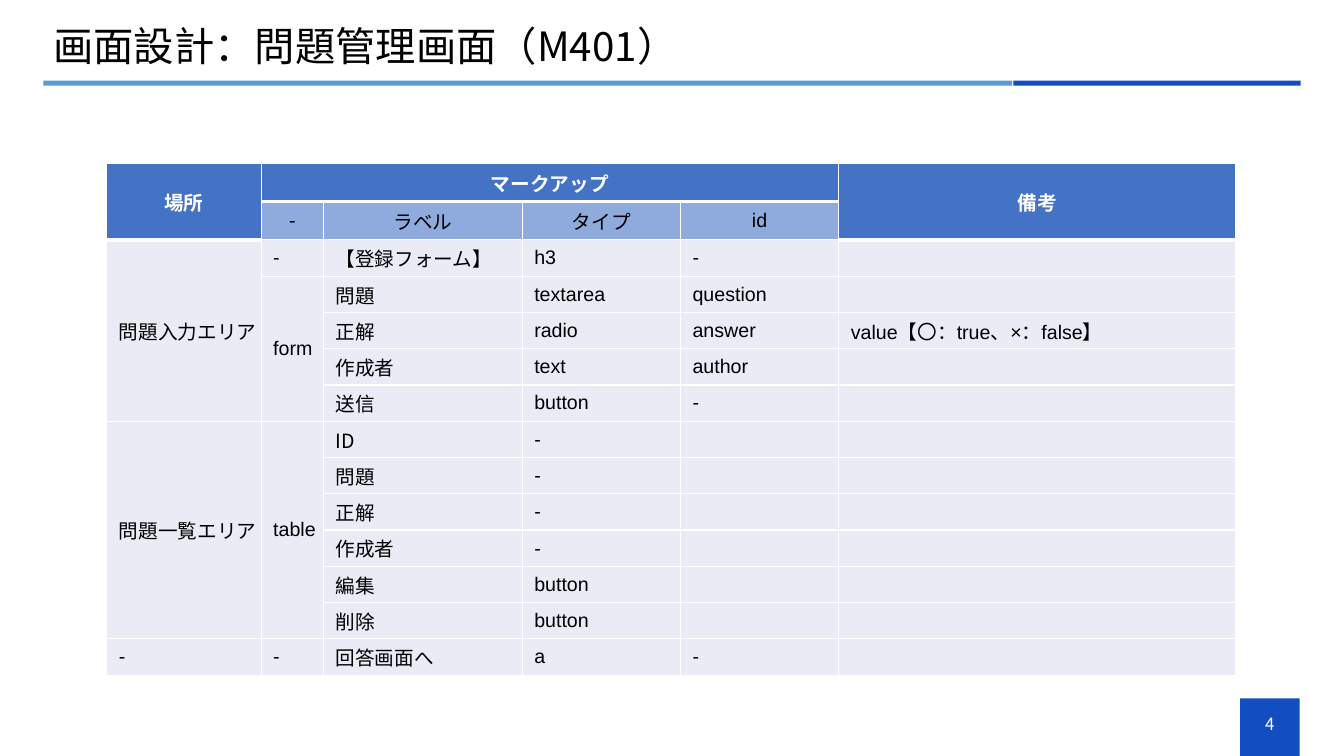
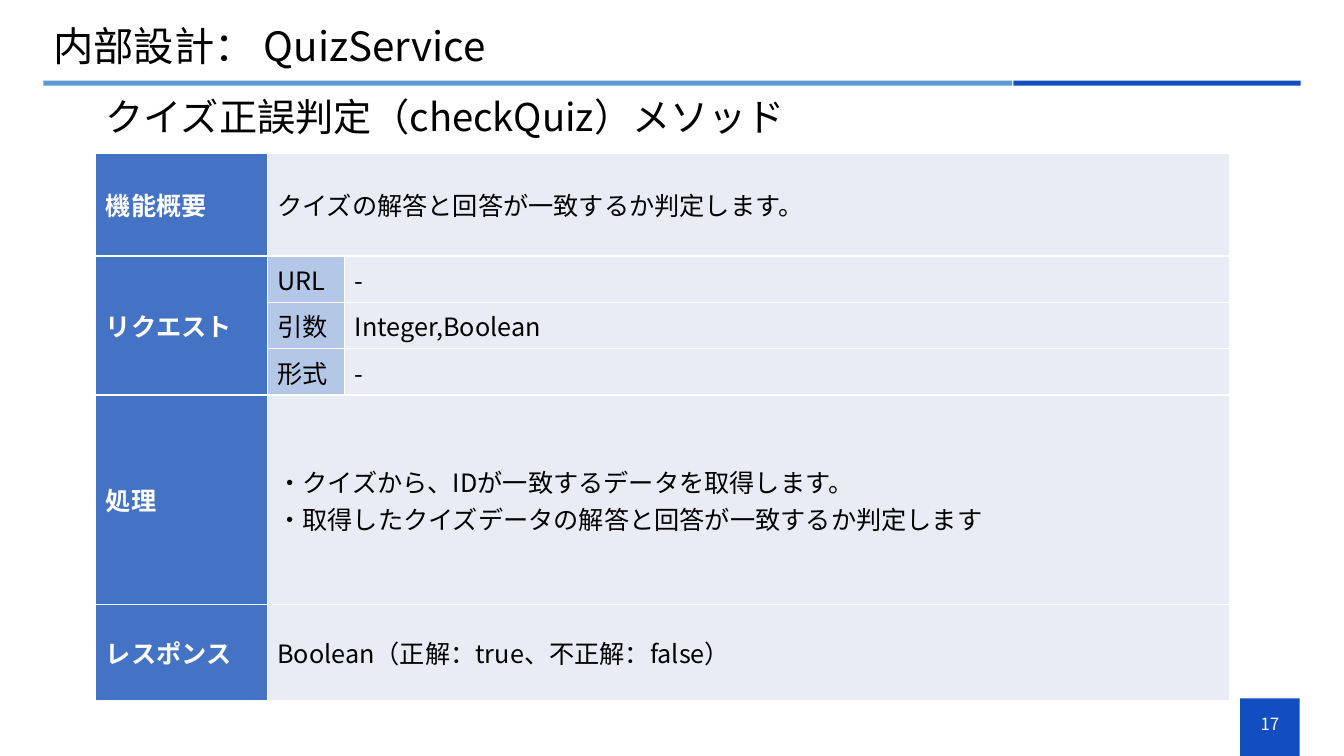
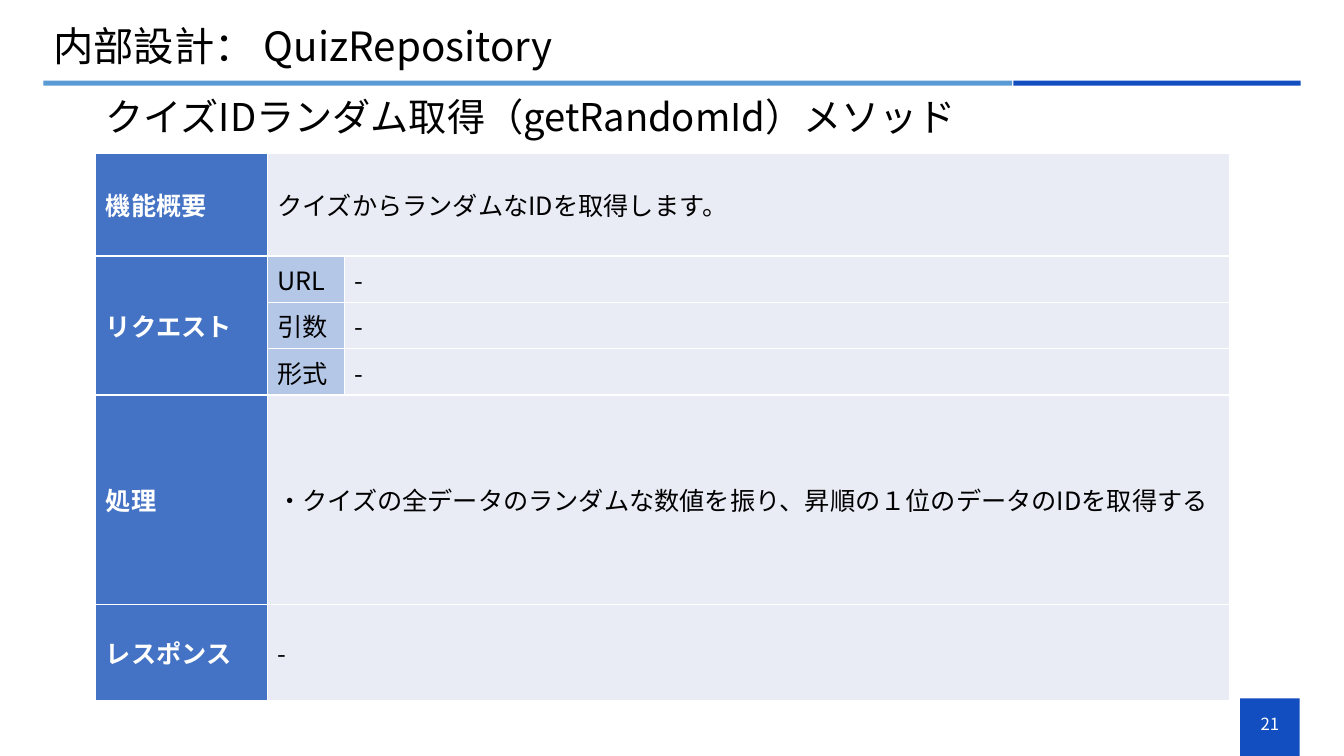
from lxml import etree
from pptx import Presentation
from pptx.dml.color import RGBColor
from pptx.enum.shapes import MSO_SHAPE
from pptx.enum.text import MSO_ANCHOR, PP_ALIGN
from pptx.oxml.ns import qn
from pptx.util import Inches, Pt

RECT = MSO_SHAPE.RECTANGLE
MIDDLE = MSO_ANCHOR.MIDDLE
LEFT, CENTER = PP_ALIGN.LEFT, PP_ALIGN.CENTER

COLORS = {
    "white": "FFFFFF", "black": "000000", "navy": "134EC1", "sky": "5B9BD5",
    "head": "4472C4", "subhead": "8FAADC", "label": "B4C7E7", "body": "E9EBF5",
}
JP, LATIN = "Noto Sans CJK JP", "Arial"

# Parts on every slide: left, top, width, height, colour
BANDS = [
    (12.3, 6.93, 0.59, 0.57, "navy"),
    (0.43, 0.8, 9.61, 0.05, "sky"),
    (10.05, 0.8, 2.85, 0.05, "navy"),
]
TITLE_BOX = (0.43, 0.21, 12.46, 0.55)
NUMBER_BOX = (12.3, 6.98, 0.59, 0.4)
SUBTITLE_BOX = (0.95, 0.91, 11.95, 0.55)

# Screen design table: rows, then merges as (row, column, last row, last column)
SCREEN = {
    "number": "4",
    "title": "画面設計：問題管理画面（M401）",
    "rows": [
        ["場所", "マークアップ", "", "", "", "備考"],
        ["", "-", "ラベル", "タイプ", "id", ""],
        ["問題入力エリア", "-", "【登録フォーム】", "h3", "-", ""],
        ["", "form", "問題", "textarea", "question", ""],
        ["", "", "正解", "radio", "answer", "value【〇：true、×：false】"],
        ["", "", "作成者", "text", "author", ""],
        ["", "", "送信", "button", "-", ""],
        ["問題一覧エリア", "table", "ID", "-", "", ""],
        ["", "", "問題", "-", "", ""],
        ["", "", "正解", "-", "", ""],
        ["", "", "作成者", "-", "", ""],
        ["", "", "編集", "button", "", ""],
        ["", "", "削除", "button", "", ""],
        ["-", "-", "回答画面へ", "a", "-", ""],
    ],
    "merges": [(0, 0, 1, 0), (0, 1, 0, 4), (0, 5, 1, 5), (2, 0, 6, 0),
               (3, 1, 6, 1), (7, 0, 12, 0), (7, 1, 12, 1)],
}
SCREEN_COLS = [1.53, 0.62, 1.97, 1.57, 1.57, 3.94]
SCREEN_HEIGHTS = [0.38] * 2 + [0.36] * 12

# Method tables
METHODS = [
    {
        "number": "17",
        "title": "内部設計： QuizService",
        "subtitle": "クイズ正誤判定（checkQuiz）メソッド",
        "summary": "クイズの解答と回答が一致するか判定します。",
        "request": ["-", "Integer,Boolean", "-"],
        "process": "・クイズから、IDが一致するデータを取得します。\n"
                   "・取得したクイズデータの解答と回答が一致するか判定します",
        "response": "Boolean（正解：true、不正解：false）",
    },
    {
        "number": "21",
        "title": "内部設計： QuizRepository",
        "subtitle": "クイズIDランダム取得（getRandomId）メソッド",
        "summary": "クイズからランダムなIDを取得します。",
        "request": ["-", "-", "-"],
        "process": "・クイズの全データのランダムな数値を振り、"
                   "昇順の１位のデータのIDを取得する",
        "response": "-",
    },
]
REQUEST_LABELS = ["URL", "引数", "形式"]
METHOD_COLS = [1.7, 0.77, 8.78]
METHOD_HEIGHTS = [1.02, 0.46, 0.46, 0.46, 2.08, 0.95]
METHOD_MERGES = [(0, 1, 0, 2), (1, 0, 3, 0), (4, 1, 4, 2), (5, 1, 5, 2)]


def rgb(name):
    return RGBColor.from_string(COLORS[name])


def write(tf, text, size, color="black", bold=False, font=JP, align=LEFT, spacing=None):
    tf.text = text
    for p in tf.paragraphs:
        p.alignment = align
        p.line_spacing = spacing
        for r in p.runs:
            formats = {"size": Pt(size), "bold": bold, "name": font}
            for key, value in formats.items():
                setattr(r.font, key, value)
            r.font.color.rgb = rgb(color)
            etree.SubElement(r._r.get_or_add_rPr(), qn("a:ea"), typeface=JP)
        if not p.runs:  # keeps an empty cell as low as its row
            etree.SubElement(p._p, qn("a:endParaRPr"), sz=str(size * 100))


def add_text(s, box, text, size, **formats):
    tf = s.shapes.add_textbox(*map(Inches, box)).text_frame
    tf.word_wrap = True
    tf.vertical_anchor = MIDDLE
    write(tf, text, size, **formats)


def add_page(prs, page):
    s = prs.slides.add_slide(prs.slide_layouts[6])
    for *box, color in BANDS:
        sp = s.shapes.add_shape(RECT, *map(Inches, box))
        sp.shadow.inherit = False
        sp.fill.solid()
        sp.fill.fore_color.rgb = rgb(color)
        sp.line.fill.background()
    add_text(s, TITLE_BOX, page["title"], 28.8, spacing=0.9)
    add_text(s, NUMBER_BOX, page["number"], 12, color="white", align=CENTER)
    return s


def set_borders(cell, bottom):
    tcPr = cell._tc.get_or_add_tcPr()
    for side, width in (("L", 1), ("R", 1), ("T", 1), ("B", bottom)):
        ln = etree.SubElement(tcPr, qn("a:ln" + side), w=str(Pt(width)))
        fill = etree.SubElement(ln, qn("a:solidFill"))
        etree.SubElement(fill, qn("a:srgbClr"), val=COLORS["white"])


def add_grid(s, left, top, cols, heights, rows, merges, style):
    """style(row, column) gives fill, bottom border, margins and text formats."""
    frame = s.shapes.add_table(len(rows), len(cols), Inches(left), Inches(top),
                               Inches(sum(cols)), Inches(sum(heights)))
    table = frame.table
    table.first_row = table.horz_banding = False
    for column, width in zip(table.columns, cols):
        column.width = Inches(width)
    for row, height in zip(table.rows, heights):
        row.height = Inches(height)
    for i, texts in enumerate(rows):
        for j, text in enumerate(texts):
            fill, bottom, margins, formats = style(i, j)
            cell = table.cell(i, j)
            set_borders(cell, bottom)
            cell.fill.solid()
            cell.fill.fore_color.rgb = rgb(fill)
            cell.vertical_anchor = MIDDLE
            for side, value in margins.items():
                setattr(cell, "margin_" + side, Inches(value))
            write(cell.text_frame, text, **formats)
    for r1, c1, r2, c2 in merges:
        table.cell(r1, c1).merge(table.cell(r2, c2))


def screen_style(i, j):
    formats = {"size": 14, "font": JP if j == 2 and i > 1 else LATIN}
    if i > 1:
        return "body", 1, {"left": 0.12, "right": 0, "top": 0.04, "bottom": 0.04}, formats
    formats["align"] = CENTER
    if i == 1 and 0 < j < 5:
        return "subhead", 1, {}, formats
    return "head", 3, {}, {**formats, "color": "white", "bold": True}


def method_style(i, j):
    if j == 0:
        return "head", 1, {}, {"size": 18, "color": "white", "bold": True}
    is_label = j == 1 and 1 <= i <= 3
    return "label" if is_label else "body", 1, {}, {"size": 18}


def method_rows(page):
    names = ["リクエスト", "", ""]
    return [["機能概要", page["summary"], ""],
            *map(list, zip(names, REQUEST_LABELS, page["request"])),
            ["処理", page["process"], ""],
            ["レスポンス", page["response"], ""]]


def main():
    prs = Presentation()
    prs.slide_width, prs.slide_height = Inches(13.33), Inches(7.5)

    s = add_page(prs, SCREEN)
    add_grid(s, 1.06, 1.62, SCREEN_COLS, SCREEN_HEIGHTS,
             SCREEN["rows"], SCREEN["merges"], screen_style)

    for page in METHODS:
        s = add_page(prs, page)
        add_text(s, SUBTITLE_BOX, page["subtitle"], 27.3, spacing=0.9)
        add_grid(s, 0.95, 1.52, METHOD_COLS, METHOD_HEIGHTS,
                 method_rows(page), METHOD_MERGES, method_style)

    prs.save("out.pptx")


if __name__ == "__main__":
    main()
